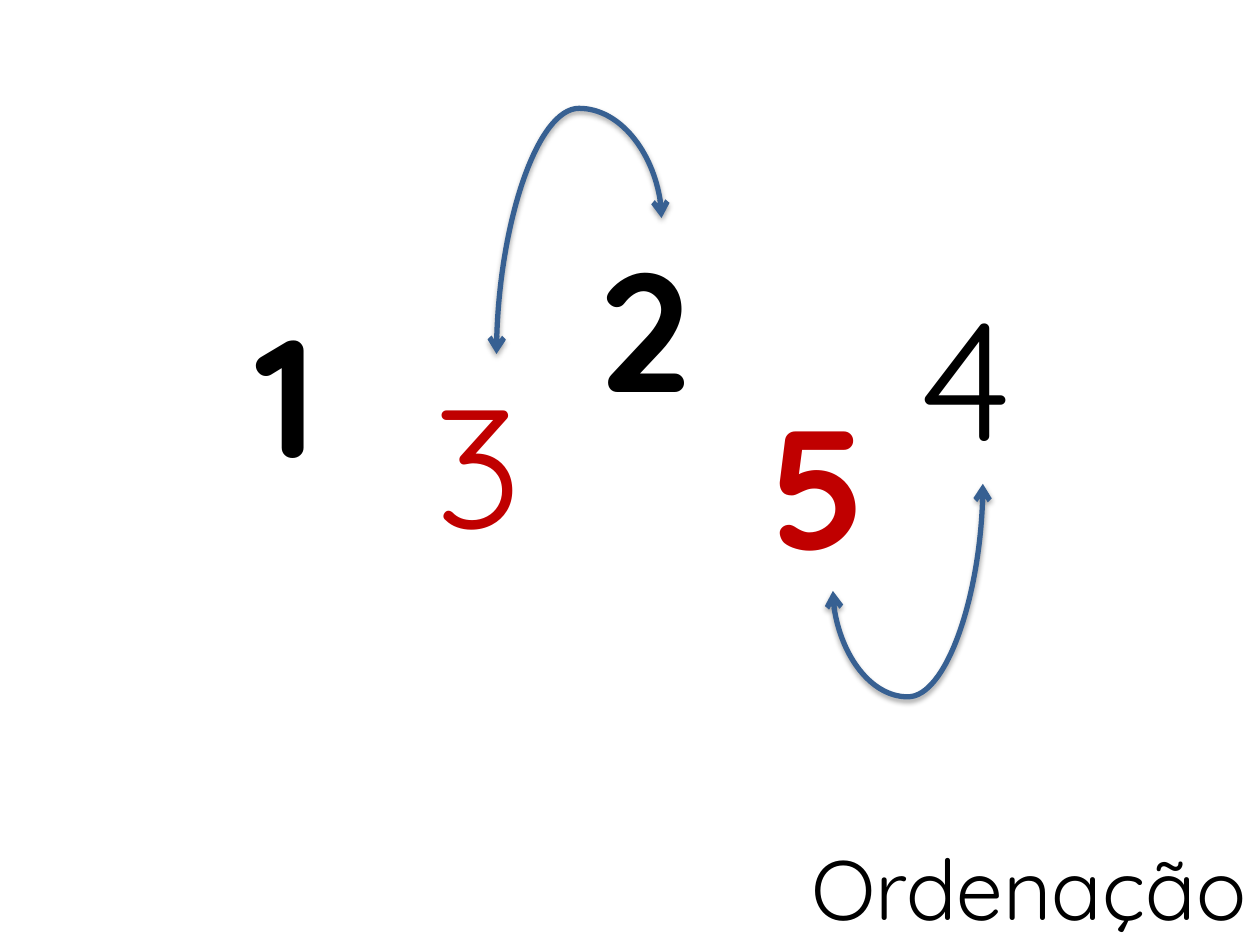
from lxml import etree
from pptx import Presentation
from pptx.dml.color import RGBColor
from pptx.enum.shapes import MSO_CONNECTOR
from pptx.enum.text import MSO_ANCHOR, MSO_AUTO_SIZE, PP_ALIGN
from pptx.oxml import parse_xml
from pptx.oxml.ns import nsdecls, qn
from pptx.util import Pt

CURVE = MSO_CONNECTOR.CURVE
TOP = MSO_ANCHOR.TOP
GROW = MSO_AUTO_SIZE.SHAPE_TO_FIT_TEXT
LEFT, RIGHT = PP_ALIGN.LEFT, PP_ALIGN.RIGHT

FONT = "Quicksand"
COLORS = {"black": "000000", "red": "C00000", "blue": "376092"}

# Content: digit, left, top, colour, bold
DIGITS = [
    ("1", 139, 162.7, "black", True),
    ("3", 241.2, 202.3, "red", False),
    ("5", 433.4, 214.6, "red", True),
    ("2", 335.5, 124.6, "black", True),
    ("4", 518.4, 152.6, "black", False),
]
DIGIT_SIZE = (85, 123.8)

# Swap arrows: start, end, height of the turning point
SWAPS = [
    ((283.7, 202.3), (378, 124.6), 61.9),
    ((475.9, 337.7), (561.6, 276.5), 398.2),
]

SHADOW = f"""<a:effectLst {nsdecls("a")}>
  <a:outerShdw blurRad="{Pt(3.1)}" dist="{Pt(1.8)}" dir="5400000" rotWithShape="0">
    <a:srgbClr val="000000"><a:alpha val="35000"/></a:srgbClr>
  </a:outerShdw>
</a:effectLst>"""


def write(box, text, size, color, bold=False, align=LEFT):
    frame = box.text_frame
    frame.word_wrap = True
    frame.auto_size = GROW
    frame.vertical_anchor = TOP
    para = frame.paragraphs[0]
    para.text = text
    para.alignment = align
    font = para.font
    font.name, font.size, font.bold = FONT, Pt(size), bold
    font.color.rgb = RGBColor.from_string(COLORS[color])


def add_swap(page, start, end, turn):
    """Curve that leaves and arrives vertically: a connector turned by 90 degrees."""
    (x1, y1), (x2, y2) = start, end
    center_x, center_y = (x1 + x2) / 2, (y1 + y2) / 2
    half_width, half_height = abs(y2 - y1) / 2, abs(x2 - x1) / 2
    arrow = page.shapes.add_connector(
        CURVE,
        Pt(center_x + half_width), Pt(center_y + half_height),
        Pt(center_x - half_width), Pt(center_y - half_height),
    )
    arrow.line.color.rgb = RGBColor.from_string(COLORS["blue"])
    arrow.line.width = Pt(3)

    properties = arrow._element.spPr
    properties.find(qn("a:xfrm")).set("rot", "5400000")
    guides = properties.find(qn("a:prstGeom")).get_or_add_avLst()
    bend = round((y1 - turn) / (y1 - y2) * 100000)
    etree.SubElement(guides, qn("a:gd"), name="adj1", fmla=f"val {bend}")
    line = properties.find(qn("a:ln"))
    for arrowhead in ("a:headEnd", "a:tailEnd"):
        etree.SubElement(line, qn(arrowhead), type="arrow")
    properties.append(parse_xml(SHADOW))


def main():
    deck = Presentation()
    deck.slide_width, deck.slide_height = Pt(720), Pt(540)
    page = deck.slides.add_slide(deck.slide_layouts[5])

    # Title in the bottom right corner
    title = page.shapes.title
    title.left, title.top, title.width, title.height = Pt(-0.7), Pt(474.5), Pt(720), Pt(65.5)
    write(title, "Ordenação", 48, "black", align=RIGHT)

    # Scattered digits
    for digit, left, top, color, bold in DIGITS:
        box = page.shapes.add_textbox(Pt(left), Pt(top), *map(Pt, DIGIT_SIZE))
        write(box, digit, 96, color, bold)

    # Swap arrows
    for swap in SWAPS:
        add_swap(page, *swap)

    deck.save("out.pptx")


if __name__ == "__main__":
    main()
